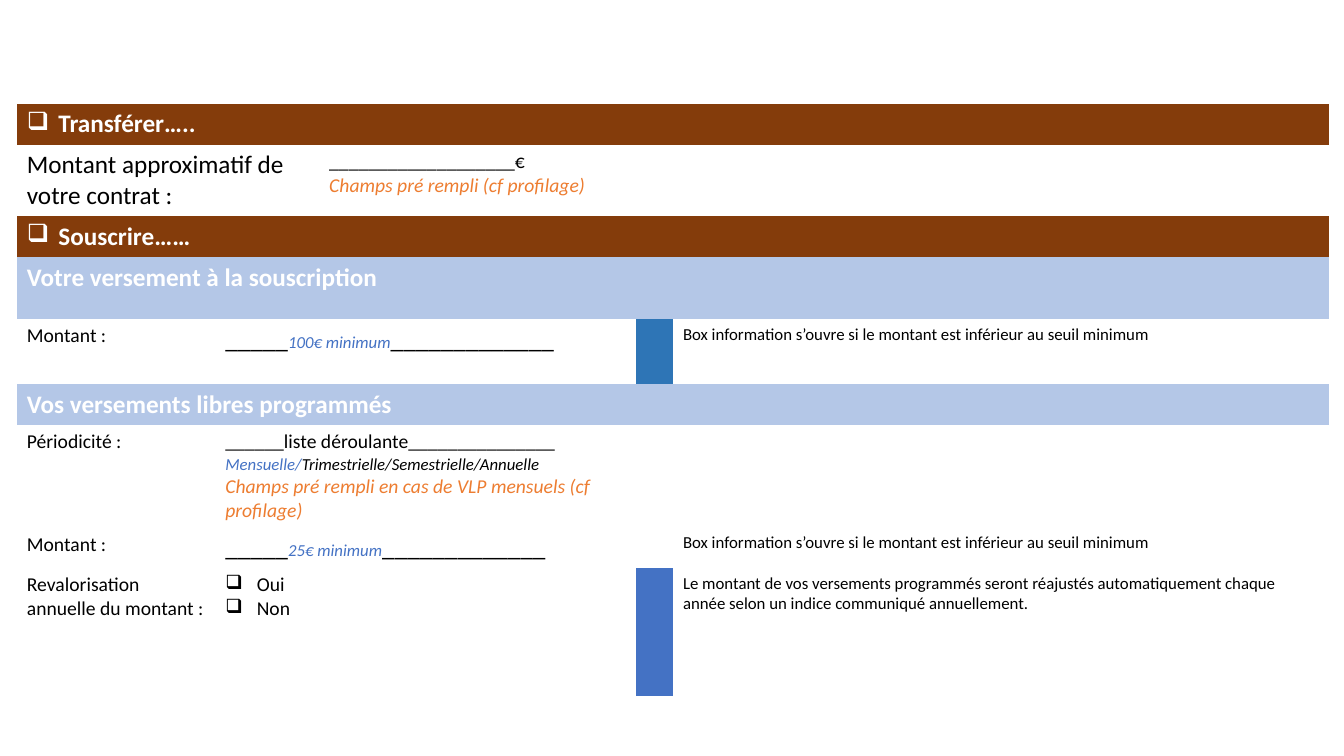
import dataclasses

import lxml.etree
import pptx
import pptx.dml.color
import pptx.oxml.ns
import pptx.util

PX = 9525
FONT = "Calibri"
PLAIN = "{2D5ABB26-0587-4C30-8999-92F81FD0307C}"
WHITE, BLACK, ORANGE, BLUE = "FFFFFF", "000000", "ED7D31", "4472C4"
BROWN, PALE, TEAL = "843C0B", "B4C7E7", "2E75B6"
INDENT = 30


@dataclasses.dataclass
class Run:
    text: str
    size: int = 14
    color: str = BLACK
    bold: bool = False
    ital: bool = False


@dataclasses.dataclass
class Para:
    runs: list[Run]
    box: bool = False


@dataclasses.dataclass
class Cell:
    row: int
    col: int
    span: int = 1
    paras: list[Para] = dataclasses.field(default_factory=list)
    fill: str = ""


def px(count: int) -> int:
    return pptx.util.Emu(count * PX)


def rgb(code: str) -> pptx.dml.color.RGBColor:
    return pptx.dml.color.RGBColor.from_string(code)


def line(text: str, size: int = 14, color: str = BLACK, ital: bool = False) -> Para:
    return Para([Run(text, size, color, ital=ital)])


def check(text: str) -> Para:
    return Para([Run(text)], box=True)


def title(row: int, text: str, fill: str, box: bool = False) -> Cell:
    return Cell(row, 0, 5, [Para([Run(text, 18, WHITE, bold=True)], box)], fill)


def amount(row: int, least: str) -> list[Cell]:
    """Label, entry field and hint of a row that asks for an amount."""
    field = Para([Run("_" * 5, 18), Run(least, 12, BLUE, ital=True), Run("_" * 13, 18)])
    hint = "Box information s’ouvre si le montant est inférieur au seuil minimum"
    return [
        Cell(row, 0, 1, [line("Montant :")]),
        Cell(row, 1, 2, [field]),
        Cell(row, 4, 1, [line(hint, 12)]),
    ]


def style(font, run: Run) -> None:
    font.name = FONT
    font.size = pptx.util.Pt(run.size)
    font.bold = run.bold
    font.italic = run.ital
    font.color.rgb = rgb(run.color)


def write(para, data: Para) -> None:
    if data.box:
        props = para._p.get_or_add_pPr()
        props.set("marL", str(px(INDENT)))
        props.set("indent", str(-px(INDENT)))
        mark = lxml.etree.SubElement(props, pptx.oxml.ns.qn("a:buChar"))
        mark.set("char", "❑")
    if len(data.runs) == 1:
        style(para.font, data.runs[0])
    for item in data.runs:
        run = para.add_run()
        run.text = item.text
        if len(data.runs) > 1:
            style(run.font, item)


def draw(table, data: Cell) -> None:
    cell = table.cell(data.row, data.col)
    if data.span > 1:
        cell.merge(table.cell(data.row, data.col + data.span - 1))
    if data.fill:
        cell.fill.solid()
        cell.fill.fore_color.rgb = rgb(data.fill)
    frame = cell.text_frame
    for index, item in enumerate(data.paras):
        write(frame.add_paragraph() if index else frame.paragraphs[0], item)


COLS = [189, 99, 302, 35, 625]
ROWS = [38, 53, 38, 59, 62, 38, 53, 38, 122]

CELLS = [
    # Transfer
    title(0, "Transférer…..", BROWN, box=True),
    Cell(1, 0, 2, [line("Montant approximatif de votre contrat :", 18)]),
    Cell(1, 2, 3, [
        line("_" * 19 + "€"),
        line("Champs pré rempli (cf profilage)", 14, ORANGE, True),
    ]),
    # First payment
    title(2, "Souscrire……", BROWN, box=True),
    title(3, "Votre versement à la souscription", PALE),
    *amount(4, "100€ minimum"),
    Cell(4, 3, fill=TEAL),
    # Planned payments
    title(5, "Vos versements libres programmés", PALE),
    Cell(6, 0, 1, [line("Périodicité :")]),
    Cell(6, 1, 2, [
        line("_" * 6 + "liste déroulante" + "_" * 15),
        Para([
            Run("Mensuelle/", 12, BLUE, ital=True),
            Run("Trimestrielle/Semestrielle/Annuelle", 12, ital=True),
        ]),
        line("Champs pré rempli en cas de VLP mensuels (cf profilage)", 14, ORANGE, True),
    ]),
    *amount(7, "25€ minimum"),
    # Yearly increase
    Cell(8, 0, 1, [line("Revalorisation annuelle du montant :")]),
    Cell(8, 1, 2, [check("Oui"), check("Non")]),
    Cell(8, 3, fill=BLUE),
    Cell(8, 4, 1, [line(
        "Le montant de vos versements programmés seront réajustés automatiquement "
        "chaque année selon un indice communiqué annuellement.", 12)]),
]


def main() -> None:
    deck = pptx.Presentation()
    deck.slide_width, deck.slide_height = px(1280), px(720)
    slide = deck.slides.add_slide(deck.slide_layouts[6])

    # Form grid, without banding or borders
    table = slide.shapes.add_table(
        len(ROWS), len(COLS), px(16), px(99), px(sum(COLS)), px(sum(ROWS))).table
    table.first_row = table.horz_banding = False
    table._tbl.tblPr.find(pptx.oxml.ns.qn("a:tableStyleId")).text = PLAIN
    for col, width in zip(table.columns, COLS):
        col.width = px(width)
    for row, height in zip(table.rows, ROWS):
        row.height = px(height)

    for data in CELLS:
        draw(table, data)
    deck.save("out.pptx")


if __name__ == "__main__":
    main()
